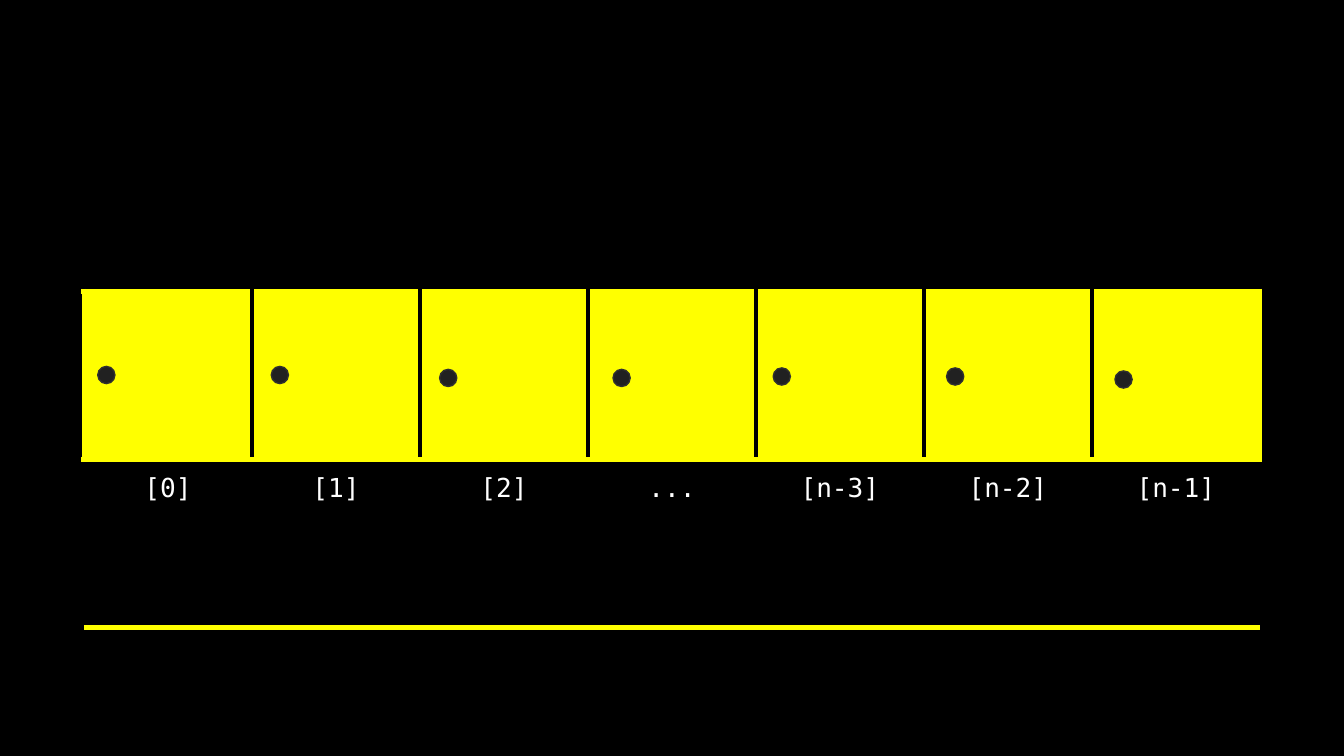
from lxml.etree import SubElement
from pptx import Presentation
from pptx.dml.color import RGBColor
from pptx.enum.shapes import MSO_SHAPE
from pptx.enum.text import PP_ALIGN
from pptx.oxml.ns import qn
from pptx.util import Pt

LABELS = ["[0]", "[1]", "[2]", "...", "[n-3]", "[n-2]", "[n-1]"]
DOT_POSITIONS = [
    (52.35, 196.3), (145.3, 196.3), (235.5, 197.9), (328.4, 197.9),
    (414.2, 197.1), (507.1, 197.1), (597.3, 198.7),
]

BLACK = RGBColor(0x00, 0x00, 0x00)
WHITE = RGBColor(0xFF, 0xFF, 0xFF)
YELLOW = RGBColor(0xFF, 0xFF, 0x00)
DOT_FILL = RGBColor(0x21, 0x21, 0x21)
DOT_LINE = RGBColor(0x30, 0x30, 0x30)

FONT = "DejaVu Sans Mono"
NO_STYLE = "{2D5ABB26-0587-4C30-8999-92F81FD0307C}"
CELL = 90
INSET = 7.2
DOT = 9.2
ROWS, COLUMNS = 5, len(LABELS) + 2
SLOT_ROW, LABEL_ROW = 2, 3
GRID_LEFT, GRID_TOP = -45, -23.9


def add_border(cell, side, color):
    line = SubElement(cell._tc.get_or_add_tcPr(), qn(f"a:ln{side}"), w=str(Pt(3)))
    fill = SubElement(line, qn("a:solidFill"))
    SubElement(fill, qn("a:srgbClr"), val=str(color))


def add_array(page):
    frame = page.shapes.add_table(ROWS, COLUMNS, Pt(GRID_LEFT), Pt(GRID_TOP),
                                  Pt(COLUMNS * CELL), Pt(ROWS * CELL))
    table = frame.table
    table.first_row = table.horz_banding = False
    table._tbl.tblPr.find(qn("a:tableStyleId")).text = NO_STYLE

    for column, label in enumerate(LABELS, start=1):
        slot = table.cell(SLOT_ROW, column)
        add_border(slot, "L", YELLOW if column == 1 else BLACK)
        add_border(slot, "R", YELLOW if column == len(LABELS) else BLACK)
        add_border(slot, "T", YELLOW)
        add_border(slot, "B", YELLOW)
        slot.fill.solid()
        slot.fill.fore_color.rgb = YELLOW

        caption = table.cell(LABEL_ROW, column)
        add_border(caption, "T", YELLOW)
        caption.margin_left = caption.margin_right = Pt(INSET)
        caption.margin_top = caption.margin_bottom = Pt(INSET)
        para = caption.text_frame.paragraphs[0]
        para.text = label
        para.alignment = PP_ALIGN.CENTER
        font = para.runs[0].font
        font.name = FONT
        font.size = Pt(14)
        font.color.rgb = WHITE


def add_dot(page, left, top):
    dot = page.shapes.add_shape(MSO_SHAPE.OVAL, Pt(left), Pt(top), Pt(DOT), Pt(DOT))
    dot.shadow.inherit = False
    dot.fill.solid()
    dot.fill.fore_color.rgb = DOT_FILL
    dot.line.color.rgb = DOT_LINE
    dot.line.width = Pt(0.75)


def main():
    deck = Presentation()
    deck.slide_width, deck.slide_height = Pt(720), Pt(405)
    page = deck.slides.add_slide(deck.slide_layouts[6])
    page.background.fill.solid()
    page.background.fill.fore_color.rgb = BLACK
    add_array(page)
    for left, top in DOT_POSITIONS:
        add_dot(page, left, top)
    deck.save("out.pptx")


if __name__ == "__main__":
    main()
